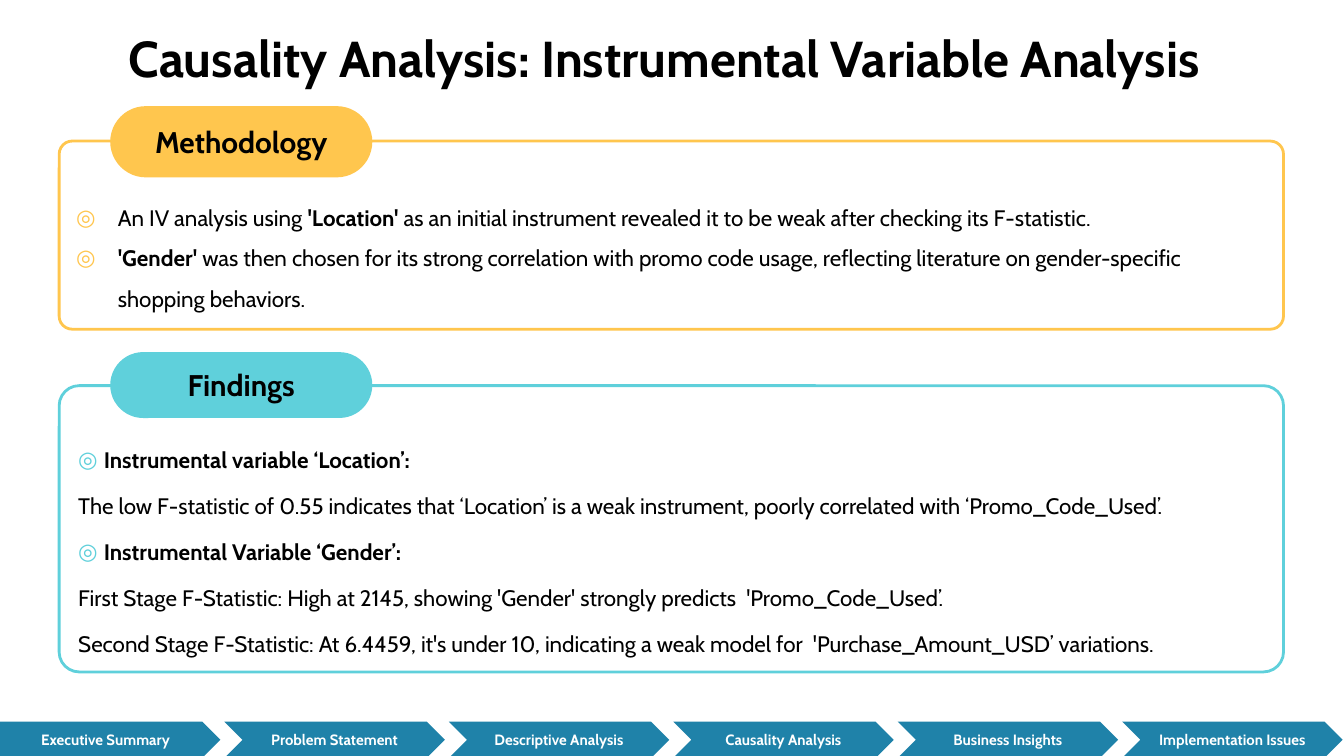
from dataclasses import dataclass

from lxml.etree import SubElement
from pptx import Presentation
from pptx.dml.color import RGBColor
from pptx.enum.shapes import MSO_SHAPE
from pptx.enum.text import MSO_ANCHOR, MSO_AUTO_SIZE, PP_ALIGN
from pptx.oxml.ns import qn
from pptx.shapes.autoshape import Shape
from pptx.slide import Slide
from pptx.util import Inches, Pt

BLACK = RGBColor(0x00, 0x00, 0x00)
WHITE = RGBColor(0xFF, 0xFF, 0xFF)
AMBER = RGBColor(0xFF, 0xC6, 0x4E)
TURQUOISE = RGBColor(0x5F, 0xD0, 0xDB)
BLUE = RGBColor(0x1F, 0x82, 0xA9)
FONT = "Cabin"
INSET = 0.1


@dataclass(frozen=True)
class Span:
    text: str
    bold: bool = False


@dataclass(frozen=True)
class Line:
    spans: list[Span]
    bullet: bool = False


@dataclass(frozen=True)
class Panel:
    heading: str
    color: RGBColor
    top: float
    height: float
    tab_top: float
    tab_height: float
    text_inset: float
    indent: float
    spacing: float
    lines: list[Line]


PANELS = [
    Panel("Findings", TURQUOISE, 2.87, 2.13, 2.62, 0.49, 0.34, 0.19, 1.5, [
        Line([Span("Instrumental variable ‘Location’:", True)], True),
        Line([Span("The low F-statistic of 0.55 indicates that ‘Location’ is a weak "
                   "instrument, poorly correlated with ‘Promo_Code_Used’.")]),
        Line([Span("Instrumental Variable ‘Gender’:", True)], True),
        Line([Span("First Stage F-Statistic: High at 2145, showing 'Gender' strongly "
                   "predicts  'Promo_Code_Used’.")]),
        Line([Span("Second Stage F-Statistic: At 6.4459, it's under 10, indicating a "
                   "weak model for  'Purchase_Amount_USD’ variations.")]),
    ]),
    Panel("Methodology", AMBER, 1.05, 1.4, 0.79, 0.53, 0.34, 0.31, 0, [
        Line([Span("An IV analysis using "), Span("'Location'", True),
              Span(" as an initial instrument revealed it to be weak after checking "
                   "its F-statistic.")], True),
        Line([Span("'Gender' ", True),
              Span("was then chosen for its strong correlation with promo code usage, "
                   "reflecting literature on gender-specific shopping behaviors.")], True),
    ]),
]

STEPS = ["Executive Summary", "Problem Statement", "Descriptive Analysis",
         "Causality Analysis", "Business Insights", "Implementation Issues"]
STEP_PITCH = 1.67


def add_bullet(para, color: RGBColor, size: float, indent: float) -> None:
    properties = para._p.get_or_add_pPr()
    properties.set("marL", str(Inches(indent)))
    properties.set("indent", str(-Inches(indent)))
    bullet_color = SubElement(properties, qn("a:buClr"))
    SubElement(bullet_color, qn("a:srgbClr")).set("val", str(color))
    SubElement(properties, qn("a:buSzPts")).set("val", str(int(size * 100)))
    SubElement(properties, qn("a:buFont")).set("typeface", FONT)
    SubElement(properties, qn("a:buChar")).set("char", "◎")


def write_text(box: Shape, lines: list[Line], *, size: float,
               color: RGBColor = BLACK, align: PP_ALIGN = PP_ALIGN.CENTER,
               top_inset: float = INSET, line_spacing: float = 1.0,
               spacing: float = 0, indent: float = 0,
               bullet_color: RGBColor = BLACK) -> None:
    frame = box.text_frame
    frame.word_wrap = True
    frame.auto_size = MSO_AUTO_SIZE.NONE
    frame.vertical_anchor = MSO_ANCHOR.MIDDLE
    frame.margin_left = frame.margin_right = frame.margin_bottom = Inches(INSET)
    frame.margin_top = Inches(top_inset)
    for index, line in enumerate(lines):
        para = frame.paragraphs[0] if index == 0 else frame.add_paragraph()
        if line.bullet:
            add_bullet(para, bullet_color, size, indent)
        para.alignment = align
        para.line_spacing = line_spacing
        para.space_before = Pt(spacing if index else 0)
        para.space_after = Pt(spacing)
        for span in line.spans:
            run = para.add_run()
            run.text = span.text
            run.font.name = FONT
            run.font.size = Pt(size)
            run.font.bold = span.bold
            run.font.color.rgb = color


def add_box(page: Slide, kind: MSO_SHAPE, left: float, top: float, width: float,
            height: float, *, fill: RGBColor, corner: float = 0.5,
            outline: RGBColor | None = None) -> Shape:
    box = page.shapes.add_shape(kind, Inches(left), Inches(top),
                                Inches(width), Inches(height))
    box.shadow.inherit = False
    box.adjustments[0] = corner
    box.fill.solid()
    box.fill.fore_color.rgb = fill
    if outline is None:
        box.line.fill.background()
    else:
        box.line.color.rgb = outline
        box.line.width = Pt(1.5)
    return box


def add_panel(page: Slide, panel: Panel) -> None:
    body = add_box(page, MSO_SHAPE.ROUNDED_RECTANGLE, 0.44, panel.top, 9.11,
                   panel.height, fill=WHITE, corner=0.07, outline=panel.color)
    write_text(body, panel.lines, size=12, align=PP_ALIGN.LEFT,
               top_inset=panel.text_inset, line_spacing=1.5,
               spacing=panel.spacing, indent=panel.indent, bullet_color=panel.color)
    tab = add_box(page, MSO_SHAPE.ROUNDED_RECTANGLE, 0.82, panel.tab_top, 1.95,
                  panel.tab_height, fill=panel.color)
    write_text(tab, [Line([Span(panel.heading, True)])], size=16)


def add_step(page: Slide, index: int, label: str) -> None:
    kind = MSO_SHAPE.CHEVRON if index else MSO_SHAPE.PENTAGON
    step = add_box(page, kind, index * STEP_PITCH, 5.37, 1.64, 0.27, fill=BLUE)
    write_text(step, [Line([Span(label, True)])], size=8, color=WHITE)


def main() -> None:
    deck = Presentation()
    deck.slide_width = Inches(10)
    deck.slide_height = Inches(10) * 9 // 16
    page = deck.slides.add_slide(deck.slide_layouts[5])

    title = page.shapes.title
    title.left, title.top = Inches(0.28), Inches(0.16)
    title.width, title.height = Inches(9.32), Inches(0.53)
    write_text(title, [Line([Span("Causality Analysis: Instrumental Variable Analysis",
                                  True)])], size=27)

    for panel in PANELS:
        add_panel(page, panel)
    for index, label in enumerate(STEPS):
        add_step(page, index, label)

    deck.save("out.pptx")


if __name__ == "__main__":
    main()
